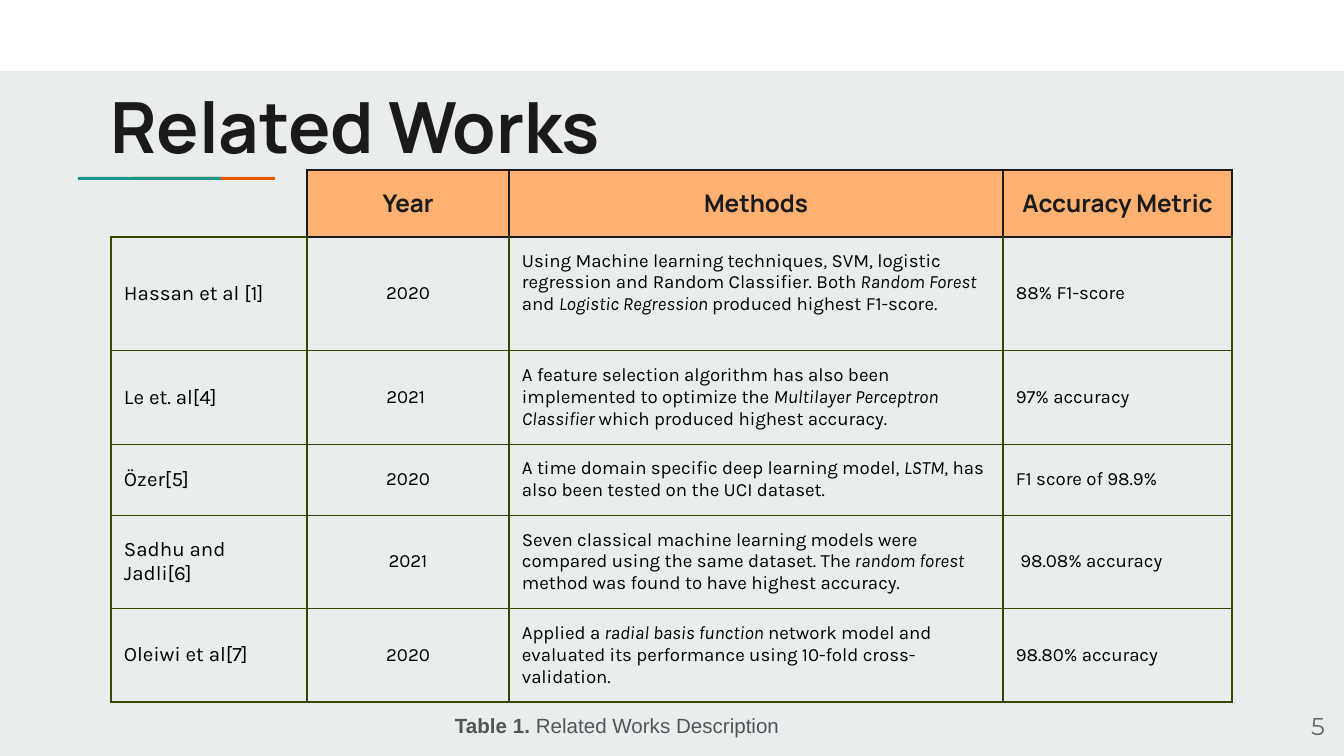
import pptx
import pptx.util
import pptx.dml.color
import pptx.enum.shapes
import pptx.enum.text
import pptx.oxml
import pptx.oxml.ns

SCALE = pptx.util.Inches(10) / 1344
COLORS = {
    "ground": "E9EDEE", "white": "FFFFFF", "orange": "EB5600", "teal": "1A9988",
    "header": "FFB172", "ink": "1A1A1A", "green": "324A00", "black": "000000",
    "number": "666666", "caption": "545457",
}
ANCHOR = pptx.enum.text.MSO_ANCHOR
ALIGN = pptx.enum.text.PP_ALIGN
FORMATS = {
    "title": {"name": "Manrope", "size": 37.8, "color": "ink", "bold": True},
    "header": {"name": "Manrope", "size": 13, "color": "ink", "bold": True},
    "author": {"name": "Karla", "size": 11, "color": "black", "bold": False},
    "body": {"name": "Karla", "size": 10, "color": "black", "bold": False},
    "number": {"name": "Montserrat", "size": 13, "color": "number", "bold": False},
    "caption": {"name": "Arial", "size": 11, "color": "caption", "bold": False},
}


def px(length):
    return round(length * SCALE)


def write(frame, parts, style, align=ALIGN.LEFT, emphasis="italic"):
    para = frame.paragraphs[0]
    para.alignment = align
    for index, words in enumerate(parts):
        if not words:
            continue
        span = para.add_run()
        span.text = words
        values = dict(FORMATS[style])
        values["size"] = pptx.util.Pt(values["size"])
        color = values.pop("color")
        if index % 2:
            values[emphasis] = True
        for name, value in values.items():
            setattr(span.font, name, value)
        span.font.color.rgb = pptx.dml.color.RGBColor.from_string(COLORS[color])


deck = pptx.Presentation()
deck.slide_width = px(1344)
deck.slide_height = px(756)
page = deck.slides.add_slide(deck.slide_layouts[5])
page.background.fill.solid()
page.background.fill.fore_color.rgb = pptx.dml.color.RGBColor.from_string(COLORS["ground"])

bars = [
    (0, 0, 1344, 71, "white"),
    (133, 177, 142, 3, "orange"),
    (78, 177, 143, 3, "teal"),
]
for left, top, width, height, color in bars:
    bar = page.shapes.add_shape(
        pptx.enum.shapes.MSO_SHAPE.RECTANGLE, px(left), px(top), px(width), px(height))
    bar.shadow.inherit = False
    bar.fill.solid()
    bar.fill.fore_color.rgb = pptx.dml.color.RGBColor.from_string(COLORS[color])
    bar.line.fill.background()

rows = [
    ("", "Year", ["Methods"], "Accuracy Metric"),
    ("Hassan et al [1]", "2020",
     ["Using Machine learning techniques, SVM, logistic regression and Random Classifier. Both",
      " Random Forest ", "and ", "Logistic Regression ", "produced highest F1-score."],
     "88% F1-score"),
    ("Le et. al[4]", "2021 ",
     ["A feature selection algorithm has also been implemented to optimize the ",
      "Multilayer Perceptron Classifier ", "which produced highest accuracy."],
     "97% accuracy"),
    ("Özer[5]", "2020",
     ["A time domain specific deep learning model, ", "LSTM",
      ", has also been tested on the UCI dataset."],
     "F1 score of 98.9%"),
    ("Sadhu and Jadli[6]", "2021",
     ["Seven classical machine learning models were compared using the same dataset. The",
      " random forest", " method was found to have highest accuracy."],
     " 98.08% accuracy"),
    ("Oleiwi et al[7]", "2020",
     ["Applied a", " radial basis function",
      " network model and evaluated its performance using 10-fold cross-validation."],
     "98.80% accuracy"),
]
widths = [196, 202, 494, 229]
heights = [65, 113, 94, 71, 93, 94]
frame = page.shapes.add_table(
    len(rows), len(widths), px(111), px(170), px(sum(widths)), px(sum(heights)))
table = frame.table
table.first_row = False
table.horz_banding = False
for column, width in zip(table.columns, widths):
    column.width = px(width)

for row, (texts, height) in enumerate(zip(rows, heights)):
    table.rows[row].height = px(height)
    for column, text in enumerate(texts):
        cell = table.cell(row, column)
        header = row == 0 and column > 0
        corner = row == 0 and column == 0
        cell.vertical_anchor = ANCHOR.MIDDLE
        for side in ("left", "top", "right", "bottom"):
            setattr(cell, f"margin_{side}", px(13))
        if row == 1 and column == 2:
            cell.margin_bottom = px(35)

        style = "header" if row == 0 else "author" if column == 0 else "body"
        align = ALIGN.CENTER if row == 0 or column == 1 else ALIGN.LEFT
        write(cell.text_frame, [text] if isinstance(text, str) else text, style, align)

        edges = dict.fromkeys("LRTB", COLORS["ink" if header else "green"])
        if row == 1 and column > 0:
            edges["T"] = COLORS["ink"]
        if corner:
            edges.update(L=None, T=None, R=COLORS["ink"])
        properties = cell._tc.get_or_add_tcPr()
        for side, color in edges.items():
            paint = f'<a:solidFill><a:srgbClr val="{color}"/></a:solidFill>' if color else "<a:noFill/>"
            properties.append(pptx.oxml.parse_xml(
                f'<a:ln{side} {pptx.oxml.ns.nsdecls("a")} w="9525">{paint}</a:ln{side}>'))
        if header:
            cell.fill.solid()
            cell.fill.fore_color.rgb = pptx.dml.color.RGBColor.from_string(COLORS["header"])
        else:
            cell.fill.background()

title = page.shapes.title
number = page.shapes.add_textbox(0, 0, 0, 0)
caption = page.shapes.add_textbox(0, 0, 0, 0)
texts = [
    (title, (97, 70, 1130, 79), ["Related Works"], "title", ALIGN.LEFT, ANCHOR.TOP),
    (number, (1258, 697, 80, 58), ["5"], "number", ALIGN.RIGHT, ANCHOR.MIDDLE),
    (caption, (442, 700, 441, 52), ["", "Table 1.", " Related Works Description"],
     "caption", ALIGN.LEFT, ANCHOR.TOP),
]
for box, place, parts, style, align, anchor in texts:
    for name, length in zip(("left", "top", "width", "height"), place):
        setattr(box, name, px(length))
    settings = {"word_wrap": True, "vertical_anchor": anchor,
                "auto_size": pptx.enum.text.MSO_AUTO_SIZE.NONE}
    settings.update({f"margin_{side}": px(13) for side in ("left", "top", "right", "bottom")})
    for name, value in settings.items():
        setattr(box.text_frame, name, value)
    write(box.text_frame, parts, style, align, "bold")

deck.save("out.pptx")
